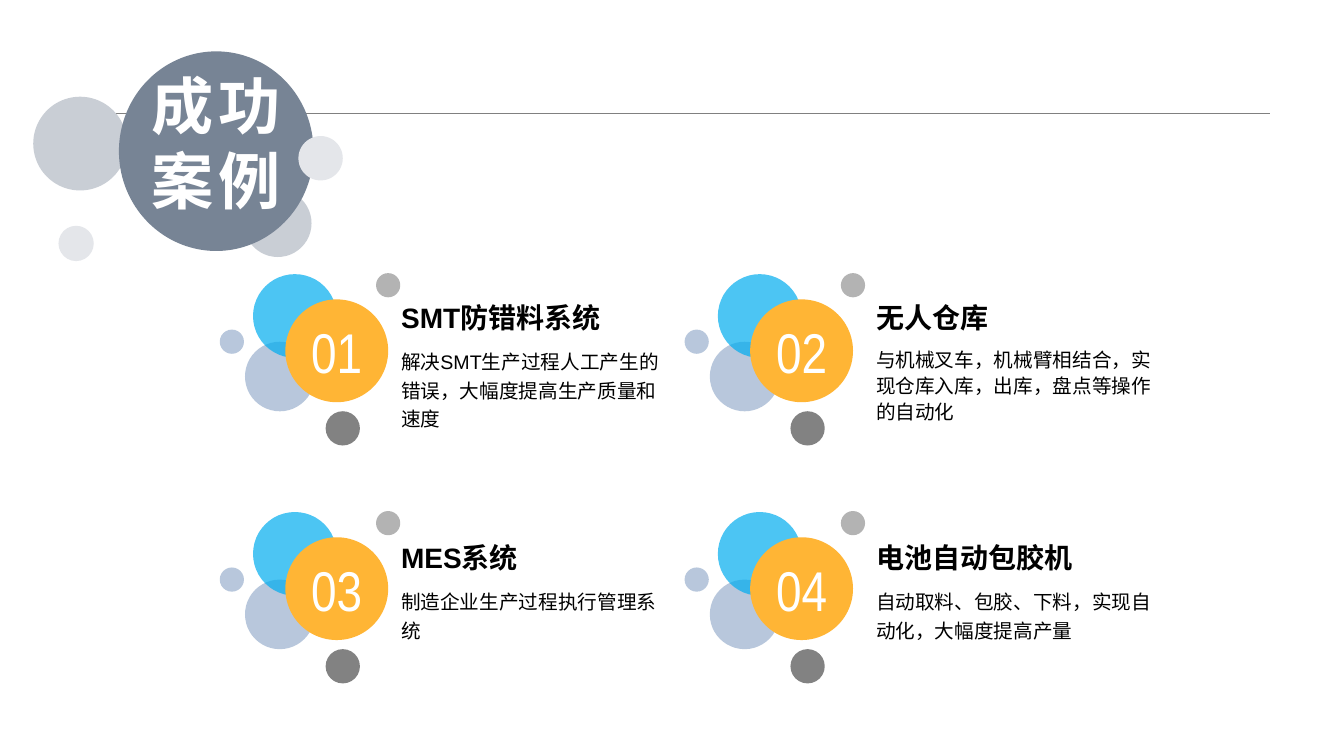
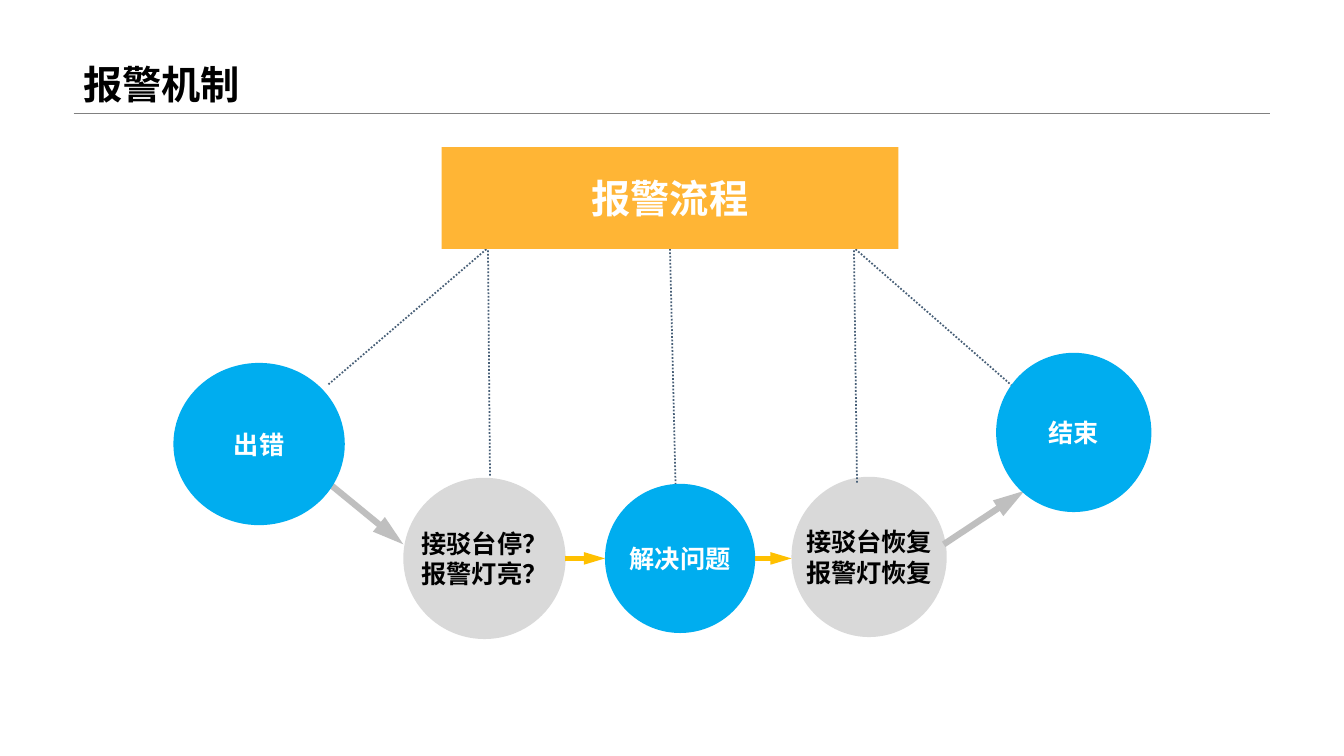
"""Builds the success-cases slide and the alarm-process slide."""
from lxml import etree
from pptx import Presentation
from pptx import util as u
from pptx.dml.color import RGBColor
from pptx.enum import dml, shapes, text
from pptx.oxml.ns import qn

BLACK = RGBColor(0x00, 0x00, 0x00)
WHITE = RGBColor(0xFF, 0xFF, 0xFF)
RULE = RGBColor(0x80, 0x80, 0x80)
BLUE = RGBColor(0x00, 0xAD, 0xEF)
ORANGE = RGBColor(0xFF, 0xB5, 0x35)
STEEL = RGBColor(0x9A, 0xB0, 0xCE)
CHARCOAL = RGBColor(0x4D, 0x4D, 0x4D)
GREY = RGBColor(0x94, 0x94, 0x94)
SLATE = RGBColor(0x77, 0x84, 0x95)
SLATE_MID = RGBColor(0xC9, 0xCE, 0xD5)
SLATE_PALE = RGBColor(0xE4, 0xE6, 0xEA)
STEP_GREY = RGBColor(0xD9, 0xD9, 0xD9)
DOTTED = RGBColor(0x47, 0x5F, 0x77)
AMBER = RGBColor(0xFF, 0xC0, 0x00)
ARROW_GREY = RGBColor(0xBF, 0xBF, 0xBF)

TOP, MIDDLE, BOTTOM = text.MSO_ANCHOR.TOP, text.MSO_ANCHOR.MIDDLE, text.MSO_ANCHOR.BOTTOM
CENTER, LEFT = text.PP_ALIGN.CENTER, text.PP_ALIGN.LEFT
OVAL, RECTANGLE = shapes.MSO_SHAPE.OVAL, shapes.MSO_SHAPE.RECTANGLE


def set_format(target, **values):
    for name, value in values.items():
        setattr(target, name, value)


class Deck:
    def __init__(self):
        self.presentation = Presentation()
        set_format(self.presentation, slide_width=u.Inches(13.33), slide_height=u.Inches(7.5))
        self.slide = None

    def add_slide(self):
        self.slide = self.presentation.slides.add_slide(self.presentation.slide_layouts[6])
        self.line((0.73, 1.12), (12.6, 1.12), RULE, 0.25)

    def fill_text(self, shape, lines, size, color, bold=False, font="Arial", align=CENTER,
                  anchor=MIDDLE, wrap=False, spacing=None, tracking=None):
        frame = shape.text_frame
        set_format(frame, word_wrap=wrap, vertical_anchor=anchor)
        for index, line in enumerate(lines):
            paragraph = frame.add_paragraph() if index else frame.paragraphs[0]
            set_format(paragraph, alignment=align, line_spacing=spacing)
            run = paragraph.add_run()
            run.text = line
            set_format(run.font, size=u.Pt(size), bold=bold, name=font)
            run.font.color.rgb = color
            properties = run.font._element
            properties.set("lang", "zh-CN")
            if tracking:
                properties.set("spc", str(tracking * 100))
            etree.SubElement(properties, qn("a:ea"), typeface=font)

    def shape(self, kind, box, color, alpha=None):
        shape = self.slide.shapes.add_shape(kind, *map(u.Inches, box))
        shape.shadow.inherit = False
        shape.fill.solid()
        shape.fill.fore_color.rgb = color
        shape.line.fill.background()
        if alpha:
            fill = shape._element.spPr.find(qn("a:solidFill"))
            etree.SubElement(fill[0], qn("a:alpha"), val=str(alpha * 1000))
        return shape

    def text(self, box, line, size, **style):
        shape = self.slide.shapes.add_textbox(*map(u.Inches, box))
        self.fill_text(shape, [line], size, BLACK, align=LEFT, wrap=True, **style)

    def line(self, start, end, color, width, dash=None, arrow=False):
        connector = self.slide.shapes.add_connector(
            shapes.MSO_CONNECTOR.STRAIGHT, *map(u.Inches, start + end))
        connector.line.color.rgb = color
        set_format(connector.line, width=u.Pt(width), dash_style=dash)
        if arrow:
            etree.SubElement(connector.line._ln, qn("a:tailEnd"),
                             type="triangle", w="med", len="lg")
        etree.SubElement(connector._element.spPr, qn("a:effectLst"))
        return connector

    def dotted_line(self, start, end):
        return self.line(start, end, DOTTED, 1.25, dml.MSO_LINE.ROUND_DOT)

    def bubbles(self, left, top, number):
        for x, y, size, color, alpha in (
            (0.25, 0.68, 0.69, STEEL, 70),
            (0.33, 0.01, 0.83, BLUE, 70),
            (0.65, 0.26, 1.02, ORANGE, None),
            (1.05, 1.37, 0.34, CHARCOAL, 70),
            (0, 0.56, 0.24, STEEL, 70),
            (1.55, 0, 0.24, GREY, 70),
        ):
            bubble = self.shape(OVAL, (left + x, top + y, size, size), color, alpha)
            if color == ORANGE:
                self.fill_text(bubble, [number], 40, WHITE, font="Arial Narrow")

    def steps(self, steps):
        for box, fill, color, lines in steps:
            self.fill_text(self.shape(OVAL, box, fill), lines, 18, color, bold=True)


def build_cases(deck):
    deck.add_slide()
    cases = (
        ("SMT防错料系统", "解决SMT生产过程人工产生的错误，大幅度提高生产质量和速度", 1.2),
        ("无人仓库", "与机械叉车，机械臂相结合，实现仓库入库，出库，盘点等操作的自动化", 1.1),
        ("MES系统", "制造企业生产过程执行管理系统", 1.2),
        ("电池自动包胶机", "自动取料、包胶、下料，实现自动化，大幅度提高产量", 1.2),
    )
    columns = ((2.18, 3.88, 2.83), (6.79, 8.59, 3.11))
    for index, (heading, body, spacing) in enumerate(cases):
        row, column = divmod(index, 2)
        left, text_left, width = columns[column]
        deck.bubbles(left, 2.71 + 2.36 * row, f"{index + 1:02}")
        top = 2.93 + 2.38 * row
        deck.text((text_left, top, width, 0.45), heading, 20, bold=True, anchor=TOP)
        deck.text((text_left, top + 0.45, width, 0.89), body, 14, anchor=TOP, spacing=spacing)

    for left, top, size, color in (
        (0.58, 2.24, 0.35, SLATE_PALE),
        (2.42, 1.88, 0.67, SLATE_MID),
        (0.33, 0.96, 0.93, SLATE_MID),
    ):
        deck.shape(OVAL, (left, top, size, size), color)
    badge = deck.shape(OVAL, (1.18, 0.51, 1.93, 1.98), SLATE)
    deck.fill_text(badge, ["成功", "案例"], 44.4, WHITE, bold=True, anchor=BOTTOM, tracking=3)
    deck.shape(OVAL, (2.96, 1.35, 0.44, 0.44), SLATE_PALE)


def build_alarm(deck):
    deck.add_slide()
    deck.text((0.73, 0, 11.87, 1.12), "报警机制", 28, bold=True, anchor=BOTTOM, spacing=0.9)

    deck.steps((
        ((4, 4.74, 1.61, 1.6), STEP_GREY, BLACK, ["接驳台停？", "报警灯亮？"]),
        ((6, 4.8, 1.49, 1.48), BLUE, WHITE, ["解决问题"]),
        ((7.85, 4.73, 1.54, 1.59), STEP_GREY, BLACK, ["接驳台恢复", "报警灯恢复"]),
    ))
    for start, end in (
        ((4.85, 2.45), (3.25, 3.82)),
        ((4.84, 2.45), (4.86, 4.73)),
        ((8.47, 2.45), (8.5, 4.8)),
        ((8.46, 2.45), (10.03, 3.82)),
    ):
        deck.dotted_line(start, end)
    center_line = deck.dotted_line((6.69, 2.47), (6.7, 4.8))

    banner = deck.shape(RECTANGLE, (4.38, 1.46, 4.53, 1.01), ORANGE)
    deck.fill_text(banner, ["报警流程"], 28, WHITE, bold=True)
    center_line.begin_connect(banner, 2)

    for start, end, color, width in (
        ((3.28, 4.81), (4, 5.4), ARROW_GREY, 4.5),
        ((5.6, 5.54), (6, 5.54), AMBER, 3),
        ((7.49, 5.54), (7.85, 5.54), AMBER, 3),
        ((9.36, 5.4), (10.16, 4.87), ARROW_GREY, 4.5),
    ):
        deck.line(start, end, color, width, arrow=True)
    deck.steps((
        ((1.72, 3.6, 1.7, 1.61), BLUE, WHITE, ["出错"]),
        ((9.88, 3.5, 1.54, 1.58), BLUE, WHITE, ["结束"]),
    ))


def main():
    deck = Deck()
    build_cases(deck)
    build_alarm(deck)
    deck.presentation.save("out.pptx")


if __name__ == "__main__":
    main()
